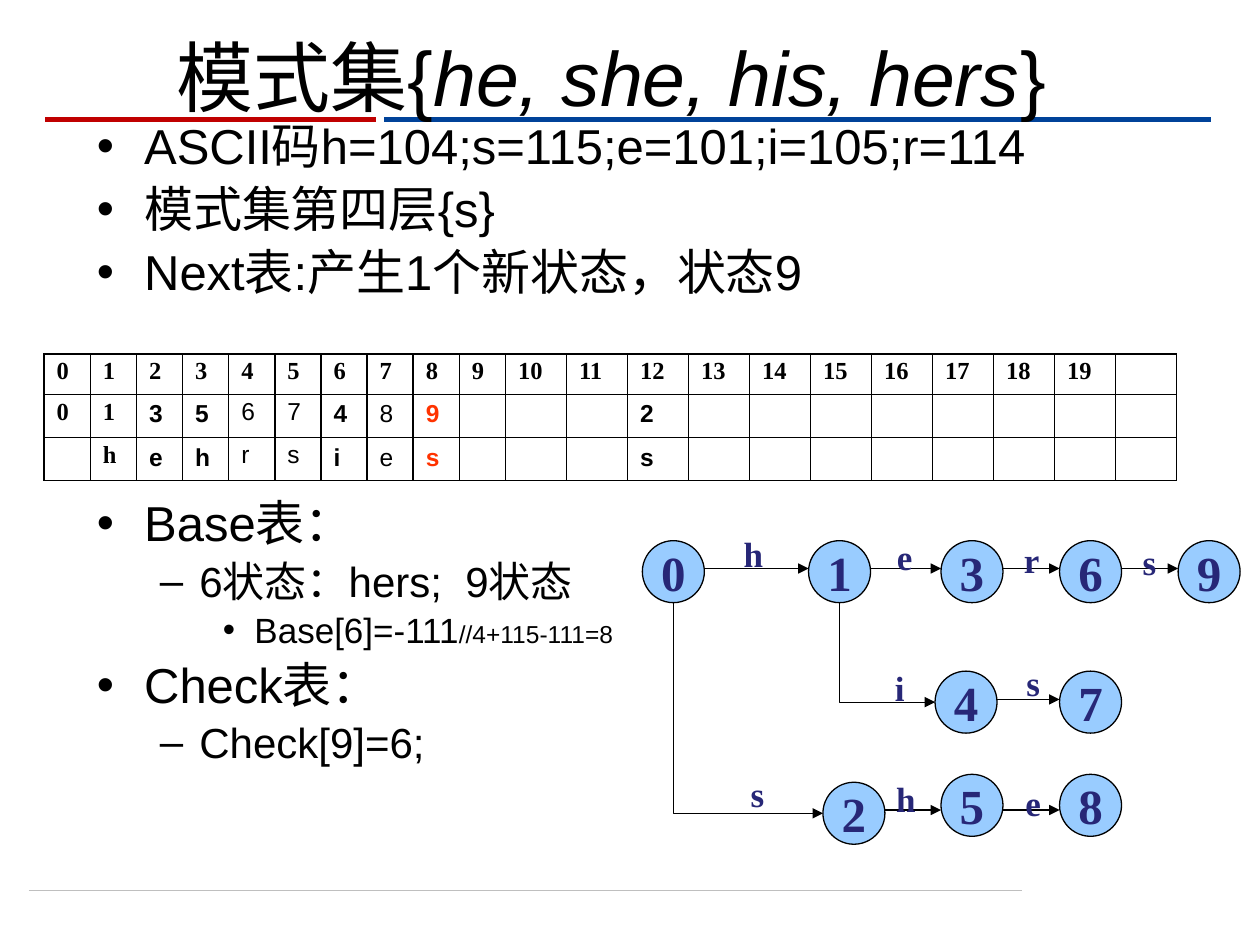
from dataclasses import dataclass

import lxml.etree
import pptx
import pptx.dml.color
import pptx.enum.shapes
import pptx.enum.text
import pptx.oxml
import pptx.oxml.ns
import pptx.util

Cm = pptx.util.Cm
Pt = pptx.util.Pt
qn = pptx.oxml.ns.qn


@dataclass(frozen=True)
class Theme:
    sans: str = "Arial"
    serif: str = "Times New Roman"
    black: str = "000000"
    red: str = "C00000"
    blue: str = "004299"
    grey: str = "BFBFBF"
    navy: str = "272777"
    sky: str = "99CCFF"
    accent: str = "FF3300"
    title: int = 44
    levels: tuple = (28, 24, 20)
    note: int = 14
    cell: int = 14
    node: int = 28
    label: int = 20


def rgb(value):
    return pptx.dml.color.RGBColor.from_string(value)


class Deck:
    node_size = 1.25

    def __init__(self, s, theme):
        self.s = s
        self.theme = theme

    def font(self, f, name, size, color, bold=None):
        f.name, f.size, f.bold = name, Pt(size), bold
        f.color.rgb = rgb(color)

    def place(self, sp, x, y, w, h):
        sp.left, sp.top, sp.width, sp.height = Cm(x), Cm(y), Cm(w), Cm(h)
        sp.text_frame.auto_size = pptx.enum.text.MSO_AUTO_SIZE.NONE

    def title(self, runs, box):
        sp = self.s.shapes.title
        self.place(sp, *box)
        p = sp.text_frame.paragraphs[0]
        self.font(p.font, self.theme.sans, self.theme.title, self.theme.black)
        for text, italic in runs:
            r = p.add_run()
            r.text, r.font.italic = text, italic

    def bullets(self, items, box):
        sp = self.s.placeholders[1]
        self.place(sp, *box)
        tf = sp.text_frame
        for i, (level, text, note, gap) in enumerate(items):
            p = tf.add_paragraph() if i else tf.paragraphs[0]
            p.level, p.line_spacing = level, 0.9
            self.font(p.font, self.theme.sans, self.theme.levels[level], self.theme.black)
            if gap:
                p.space_before = Pt(gap)
            p.add_run().text = text
            if note:
                r = p.add_run()
                r.text, r.font.size = note, Pt(self.theme.note)

    def line(self, x1, y1, x2, y2, color, width, arrow=False, elbow=False):
        kinds = pptx.enum.shapes.MSO_CONNECTOR
        kind = kinds.ELBOW if elbow else kinds.STRAIGHT
        c = self.s.shapes.add_connector(kind, Cm(x1), Cm(y1), Cm(x2), Cm(y2))
        c.line.color.rgb = rgb(color)
        c.line.width = Pt(width)
        spPr = c._element.spPr
        lxml.etree.SubElement(spPr, qn("a:effectLst"))
        if arrow:
            lxml.etree.SubElement(c.line._get_or_add_ln(), qn("a:tailEnd"), type="triangle")
        return c

    def rule(self, x1, x2, y, color, width):
        c = self.line(x1, y, x2, y, color, width)
        self.s.shapes._spTree.insert(2, c._element)

    def arrow(self, x1, x2, y):
        self.line(x1, y, x2, y, self.theme.black, 0.75, arrow=True)

    def down_then_right(self, x1, y1, x2, y2):
        cx, cy = (x1 + x2) / 2, (y1 + y2) / 2
        dx, dy = (x2 - x1) / 2, (y2 - y1) / 2
        c = self.line(cx + dy, cy - dx, cx - dy, cy + dx, self.theme.black, 0.75, True, True)
        spPr = c._element.spPr
        spPr.find(qn("a:xfrm")).set("rot", "16200000")
        spPr.find(qn("a:prstGeom")).set("prst", "bentConnector2")

    def centred(self, tf, text, size):
        p = tf.paragraphs[0]
        p.alignment = pptx.enum.text.PP_ALIGN.CENTER
        self.font(p.font, self.theme.serif, size, self.theme.navy, True)
        p.add_run().text = text

    def node(self, text, x, y):
        d = Cm(self.node_size)
        sp = self.s.shapes.add_shape(pptx.enum.shapes.MSO_SHAPE.OVAL, Cm(x), Cm(y), d, d)
        sp.shadow.inherit = False
        sp.fill.solid()
        sp.fill.fore_color.rgb = rgb(self.theme.sky)
        sp.line.color.rgb = rgb(self.theme.black)
        sp.line.width = Pt(0.75)
        tf = sp.text_frame
        tf.word_wrap = False
        tf.vertical_anchor = pptx.enum.text.MSO_ANCHOR.MIDDLE
        self.centred(tf, text, self.theme.node)

    def label(self, text, x, y):
        tf = self.s.shapes.add_textbox(Cm(x), Cm(y), Cm(1.12), Cm(0.76)).text_frame
        tf.word_wrap = True
        self.centred(tf, text, self.theme.label)

    def border(self, cell):
        tcPr = cell._tc.get_or_add_tcPr()
        for i, side in enumerate(("lnL", "lnR", "lnT", "lnB")):
            ln = lxml.etree.Element(qn("a:" + side), w=str(Pt(1)))
            fill = lxml.etree.SubElement(ln, qn("a:solidFill"))
            lxml.etree.SubElement(fill, qn("a:srgbClr"), val=self.theme.black)
            tcPr.insert(i, ln)

    def table(self, rows, x, y, widths, heights):
        t = self.s.shapes.add_table(len(rows), len(widths), Cm(x), Cm(y),
                                    Cm(sum(widths)), Cm(sum(heights))).table
        t.first_row = t.horz_banding = False
        for col, w in zip(t.columns, widths):
            col.width = Cm(w)
        for row, h in zip(t.rows, heights):
            row.height = Cm(h)
        for i, row in enumerate(rows):
            for j in range(len(widths)):
                cell = t.cell(i, j)
                cell.fill.background()
                self.border(cell)
                serif = i == 0 or j < 2
                p = cell.text_frame.paragraphs[0]
                self.font(p.font, self.theme.serif if serif else self.theme.sans,
                          self.theme.cell,
                          self.theme.accent if i and j == 8 else self.theme.black,
                          i == 0 or j not in (4, 5, 7))
                if serif or j in (4, 5):
                    p.line_spacing = 0.9
                if row.get(j):
                    p.add_run().text = row[j]


def main():
    prs = pptx.Presentation()
    prs.slide_width, prs.slide_height = Cm(25.4), Cm(19.05)
    theme = Theme()
    deck = Deck(prs.slides.add_slide(prs.slide_layouts[1]), theme)

    deck.rule(0.91, 7.57, 2.41, theme.red, 3)
    deck.rule(7.75, 24.41, 2.41, theme.blue, 3)
    deck.rule(0.58, 20.6, 17.96, theme.grey, 0.5)

    deck.bullets([
        (0, "ASCII码h=104;s=115;e=101;i=105;r=114", "", 0),
        (0, "模式集第四层{s}", "", 0),
        (0, "Next表:产生1个新状态，状态9", "", 0),
        (0, "Base表：", "", 113.5),
        (1, "6状态：hers;  9状态", "", 0),
        (2, "Base[6]=-111", "//4+115-111=8", 0),
        (0, "Check表：", "", 0),
        (1, "Check[9]=6;", "", 0),
    ], (1.7, 2.34, 22.02, 14.61))
    deck.title([("模式集{", False), ("he, she, his, hers", True), ("}", False)],
               (0.89, 0.53, 22.86, 1.98))

    header = {n: str(n) for n in range(20)}
    states = {**dict(enumerate("013567489")), 12: "2"}
    letters = {**dict(enumerate("hehrsies", 1)), 12: "s"}
    deck.table([header, states, letters], 0.89, 7.14,
               [0.93] * 10 + [1.23] * 11, [0.81, 0.87, 0.87])

    nodes = {
        "0": (12.95, 10.9), "1": (16.3, 10.9), "3": (18.97, 10.9),
        "6": (21.36, 10.9), "9": (23.75, 10.9),
        "4": (18.85, 13.53), "7": (21.36, 13.53),
        "2": (16.59, 15.77), "5": (18.97, 15.61), "8": (21.36, 15.61),
    }
    for text, (x, y) in nodes.items():
        deck.node(text, x, y)

    d = deck.node_size
    for chain, y in (("01369", 11.46), ("47", 14.1), ("258", 16.33)):
        for a, b in zip(chain, chain[1:]):
            deck.arrow(nodes[a][0] + d, nodes[b][0], y)
    for a, b in ("02", "14"):
        (x1, y1), (x2, y2) = nodes[a], nodes[b]
        deck.down_then_right(x1 + d / 2, y1 + d, x2, y2 + d / 2)

    for text, x, y in (
        ("h", 14.63, 10.62), ("s", 14.71, 15.44), ("e", 17.68, 10.67),
        ("r", 20.24, 10.74), ("s", 22.61, 10.77), ("i", 17.58, 13.31),
        ("s", 20.27, 13.21), ("h", 17.7, 15.54), ("e", 20.27, 15.62),
    ):
        deck.label(text, x, y)

    prs.save("out.pptx")


if __name__ == "__main__":
    main()
